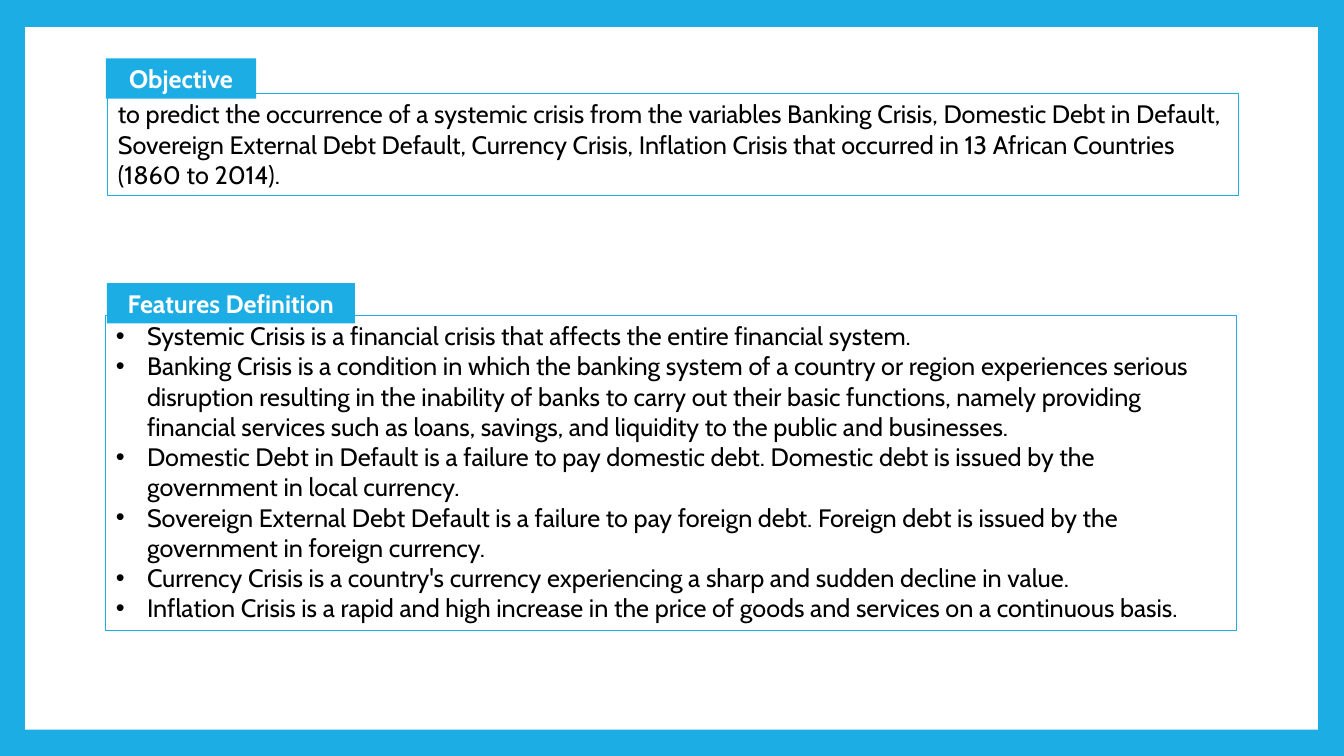
from dataclasses import dataclass

import lxml.etree
import pptx
import pptx.dml.color
import pptx.enum.shapes
import pptx.enum.text
import pptx.oxml.ns
import pptx.util

Inches = pptx.util.Inches
COLORS = {"blue": "1CADE4", "white": "FFFFFF", "black": "000000"}
FONT = "Cabin"
BULLET_INDENT = Inches(0.31)


@dataclass
class Box:
    left: float
    top: float
    width: float
    height: float
    texts: tuple[str, ...] = ()
    fill: str | None = None
    line: str | None = None
    color: str = "black"
    heading: bool = False
    bullets: bool = False


def rgb(name: str) -> pptx.dml.color.RGBColor:
    return pptx.dml.color.RGBColor.from_string(COLORS[name])


def add_bullet(p) -> None:
    pPr = p._p.get_or_add_pPr()
    pPr.set("marL", str(BULLET_INDENT))
    pPr.set("indent", str(-BULLET_INDENT))
    for tag, key, value in (("a:buFont", "typeface", "Arial"), ("a:buChar", "char", "•")):
        lxml.etree.SubElement(pPr, pptx.oxml.ns.qn(tag)).set(key, value)


def add_text(tf, box: Box) -> None:
    tf.word_wrap = True
    tf.auto_size = pptx.enum.text.MSO_AUTO_SIZE.SHAPE_TO_FIT_TEXT
    tf.vertical_anchor = pptx.enum.text.MSO_ANCHOR.TOP
    align = pptx.enum.text.PP_ALIGN
    for i, text in enumerate(box.texts):
        p = tf.add_paragraph() if i else tf.paragraphs[0]
        p.alignment = align.CENTER if box.heading else align.LEFT
        if box.bullets:
            add_bullet(p)
        r = p.add_run()
        r.text = text
        r.font.name = FONT
        r.font.size = pptx.util.Pt(18)
        r.font.bold = box.heading
        r.font.color.rgb = rgb(box.color)


def add_box(s, box: Box) -> None:
    sp = s.shapes.add_shape(
        pptx.enum.shapes.MSO_SHAPE.RECTANGLE,
        Inches(box.left), Inches(box.top), Inches(box.width), Inches(box.height),
    )
    sp.shadow.inherit = False
    if box.fill:
        sp.fill.solid()
        sp.fill.fore_color.rgb = rgb(box.fill)
    else:
        sp.fill.background()
    if box.line:
        sp.line.color.rgb = rgb(box.line)
        sp.line.width = pptx.util.Pt(0.75)
    else:
        sp.line.fill.background()
    if box.texts:
        add_text(sp.text_frame, box)


OBJECTIVE = (
    "to predict the occurrence of a systemic crisis from the variables Banking Crisis, "
    "Domestic Debt in Default, Sovereign External Debt Default, Currency Crisis, "
    "Inflation Crisis that occurred in 13 African Countries (1860 to 2014).",
)
FEATURES = (
    "Systemic Crisis is a financial crisis that affects the entire financial system.",
    "Banking Crisis is a condition in which the banking system of a country or region "
    "experiences serious disruption resulting in the inability of banks to carry out their "
    "basic functions, namely providing financial services such as loans, savings, and "
    "liquidity to the public and businesses.",
    "Domestic Debt in Default is a failure to pay domestic debt. Domestic debt is issued "
    "by the government in local currency.",
    "Sovereign External Debt Default is a failure to pay foreign debt. Foreign debt is "
    "issued by the government in foreign currency.",
    "Currency Crisis is a country's currency experiencing a sharp and sudden decline in value.",
    "Inflation Crisis is a rapid and high increase in the price of goods and services on a "
    "continuous basis.",
)
BOXES = (
    # White page inside the blue frame
    Box(0.25, 0.27, 12.82, 6.97, fill="white"),
    # Outlined text panels
    Box(1.07, 0.93, 11.21, 1.01, OBJECTIVE, line="blue"),
    Box(1.05, 3.13, 11.21, 3.13, FEATURES, line="blue", bullets=True),
    # Heading tabs over the panels
    Box(1.05, 0.58, 1.49, 0.4, ("Objective",), fill="blue", color="white", heading=True),
    Box(1.06, 2.81, 2.46, 0.4, ("Features Definition",), fill="blue", color="white", heading=True),
)


def main() -> None:
    prs = pptx.Presentation()
    prs.slide_width, prs.slide_height = Inches(13.33), Inches(7.5)
    s = prs.slides.add_slide(prs.slide_layouts[6])
    s.background.fill.solid()
    s.background.fill.fore_color.rgb = rgb("blue")
    for box in BOXES:
        add_box(s, box)
    prs.save("out.pptx")


if __name__ == "__main__":
    main()
